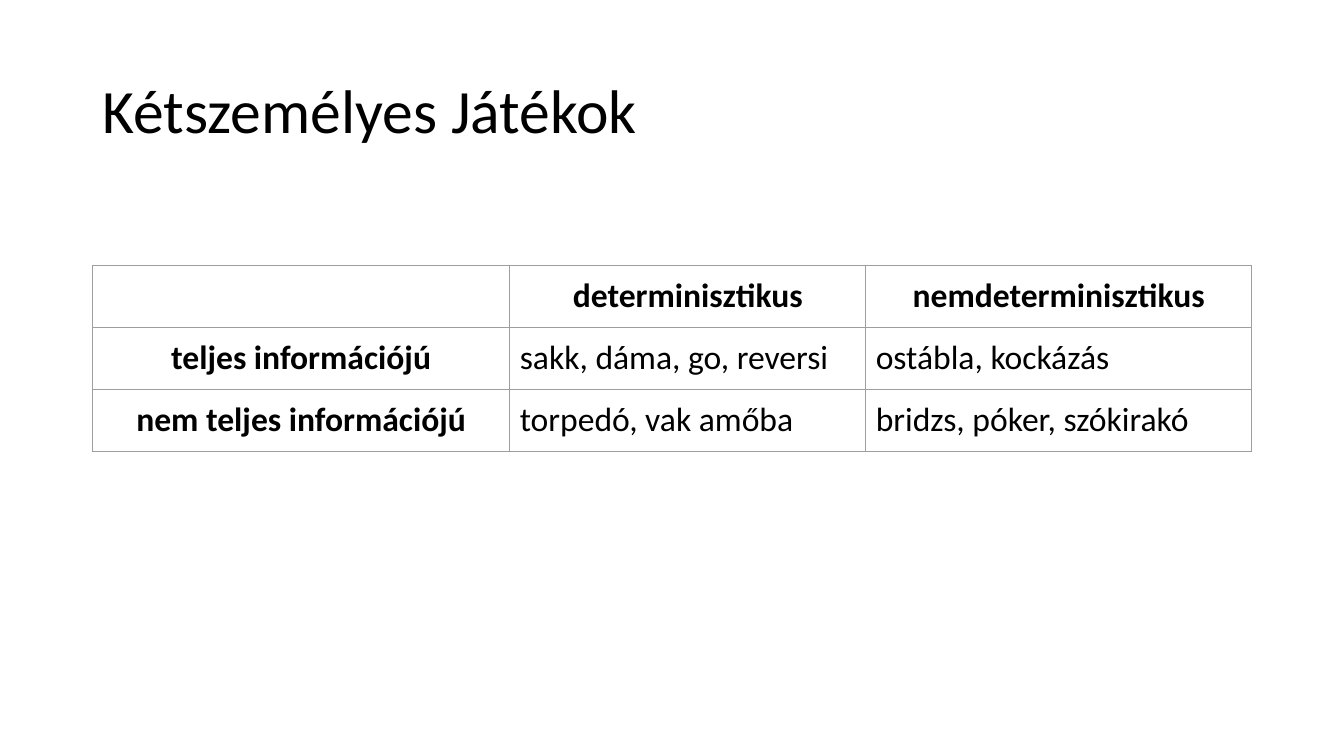
"""Build a slide that classifies two-player games in a table."""
from lxml.etree import SubElement
from pptx import Presentation
from pptx.dml.color import RGBColor as RGB
from pptx.enum.text import MSO_ANCHOR as Anchor, MSO_AUTO_SIZE as AutoSize, PP_ALIGN as Align
from pptx.oxml.ns import qn
from pptx.util import Cm, Pt

TITLE = "Kétszemélyes Játékok"
ROWS = [
    ("", "determinisztikus", "nemdeterminisztikus"),
    ("teljes információjú", "sakk, dáma, go, reversi", "ostábla, kockázás"),
    ("nem teljes információjú", "torpedó, vak amőba", "bridzs, póker, szókirakó"),
]
COLORS = {"text": "000000", "border": "9E9E9E"}
FONT = "Calibri"
LEFT, WIDTH = 2.33, 29.21
TITLE_TOP, TITLE_HEIGHT = 1.01, 3.68
TABLE_TOP, ROW_HEIGHT = 6.69, 1.56
COL_WIDTHS = [10.52, 8.97, 9.72]
CELL_MARGIN = 0.25


def add_run(p, text, size, bold=False):
    """Add one formatted run to a paragraph."""
    r = p.add_run()
    r.text = text
    r.font.name = FONT
    r.font.size = Pt(size)
    r.font.bold = bold
    r.font.color.rgb = RGB.from_string(COLORS["text"])


def add_borders(cell):
    """Draw a thin line on all four sides of a cell."""
    tc_pr = cell._tc.get_or_add_tcPr()
    for i, side in enumerate(("lnL", "lnR", "lnT", "lnB")):
        ln = SubElement(tc_pr, qn(f"a:{side}"), w=str(Pt(0.75)))
        tc_pr.insert(i, ln)
        fill = SubElement(ln, qn("a:solidFill"))
        SubElement(fill, qn("a:srgbClr"), val=COLORS["border"])


def add_title(s):
    """Place and fill the title placeholder."""
    sp = s.shapes.title
    sp.left, sp.top = Cm(LEFT), Cm(TITLE_TOP)
    sp.width, sp.height = Cm(WIDTH), Cm(TITLE_HEIGHT)
    tf = sp.text_frame
    tf.auto_size = AutoSize.NONE
    tf.vertical_anchor = Anchor.MIDDLE
    p = tf.paragraphs[0]
    p.alignment = Align.LEFT
    p.line_spacing = 0.9
    add_run(p, TITLE, 44)


def add_games(s):
    """Add the table of games with bold centred headings."""
    table = s.shapes.add_table(
        len(ROWS), len(COL_WIDTHS), Cm(LEFT), Cm(TABLE_TOP),
        Cm(WIDTH), Cm(ROW_HEIGHT * len(ROWS))).table
    table.first_row = table.horz_banding = False
    for col, width in zip(table.columns, COL_WIDTHS):
        col.width = Cm(width)
    for i, row in enumerate(ROWS):
        table.rows[i].height = Cm(ROW_HEIGHT)
        for j, text in enumerate(row):
            cell = table.cell(i, j)
            cell.fill.background()
            add_borders(cell)
            cell.margin_left = cell.margin_right = Cm(CELL_MARGIN)
            cell.margin_top = cell.margin_bottom = Cm(CELL_MARGIN)
            if text:
                heading = i == 0 or j == 0
                p = cell.text_frame.paragraphs[0]
                p.alignment = Align.CENTER if heading else Align.LEFT
                add_run(p, text, 24, heading)


def main():
    """Create and save the presentation."""
    prs = Presentation()
    prs.slide_width, prs.slide_height = Cm(33.87), Cm(19.05)
    s = prs.slides.add_slide(prs.slide_layouts[5])
    add_title(s)
    add_games(s)
    prs.save("out.pptx")


if __name__ == "__main__":
    main()
